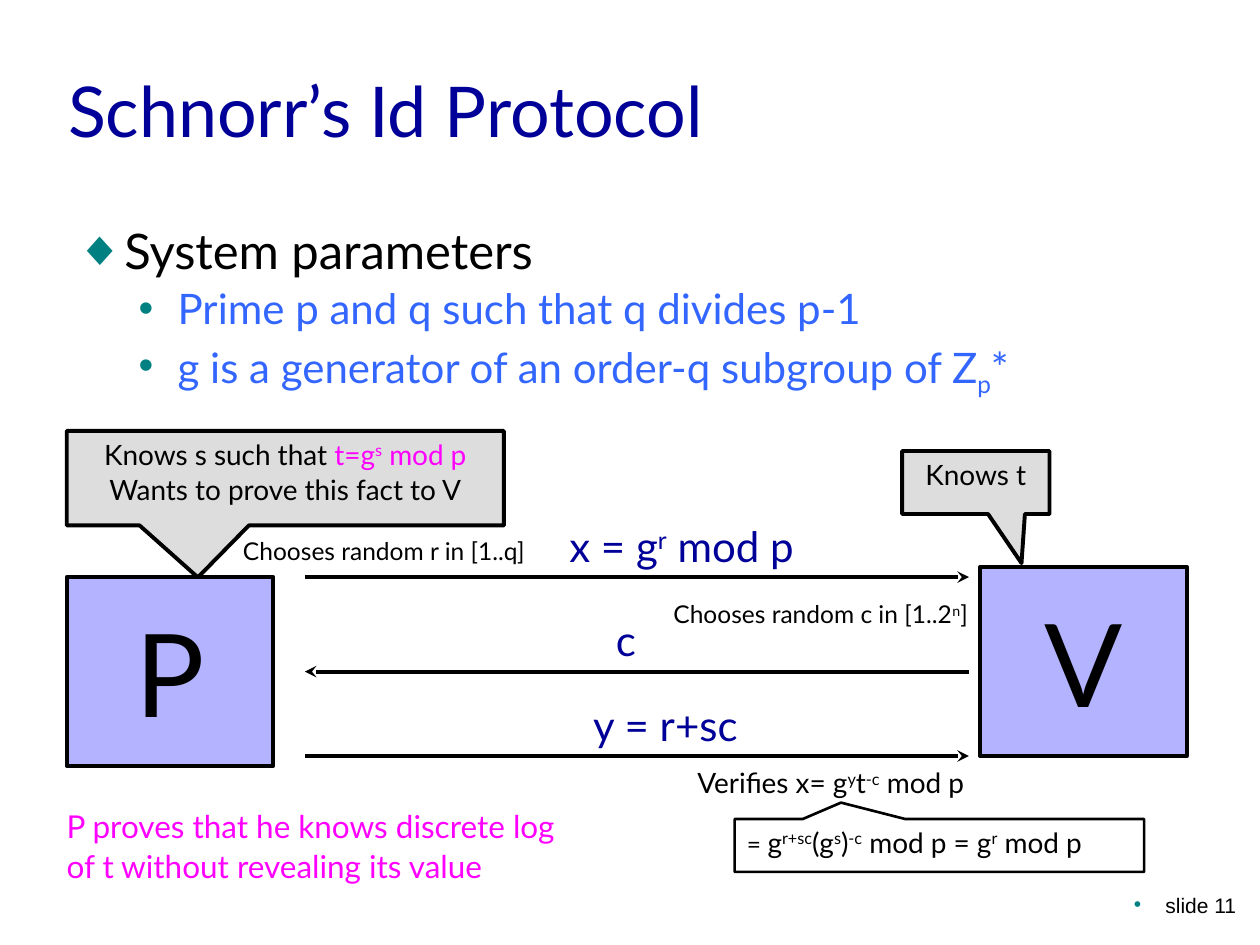
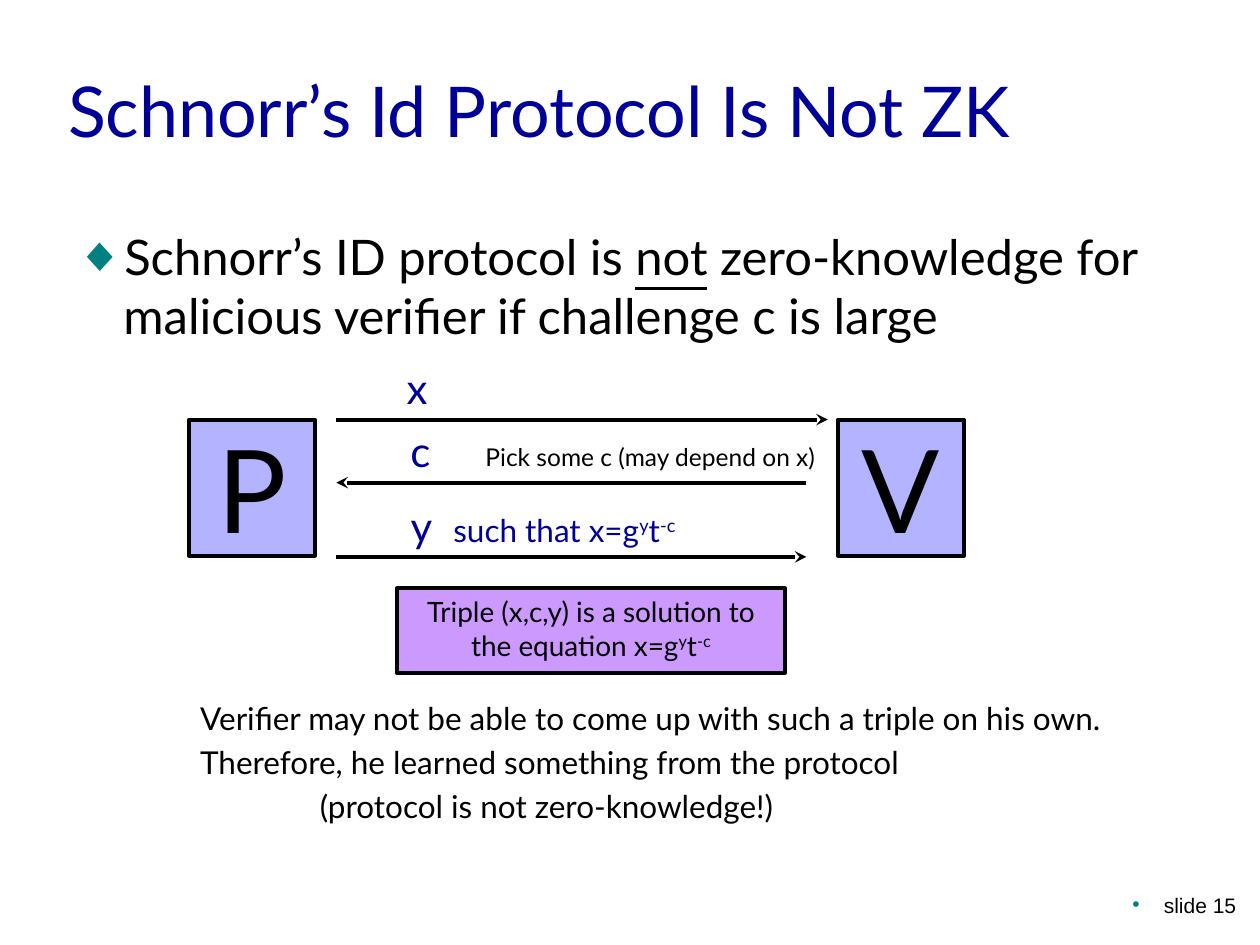
from lxml import etree
from pptx import Presentation
from pptx.dml.color import RGBColor
from pptx.enum.shapes import MSO_CONNECTOR, MSO_SHAPE
from pptx.enum.text import MSO_ANCHOR, MSO_AUTO_SIZE, PP_ALIGN
from pptx.oxml.ns import qn
from pptx.util import Inches, Pt

COLORS = {
    "black": "000000",
    "navy": "000099",
    "blue": "3366FF",
    "teal": "008080",
    "magenta": "FF00FF",
    "lilac": "B3B3FF",
    "violet": "CC99FF",
    "gray": "DDDDDD",
}
LEFT, CENTER, RIGHT = PP_ALIGN.LEFT, PP_ALIGN.CENTER, PP_ALIGN.RIGHT


def rgb(name):
    return RGBColor.from_string(COLORS[name])


def sup(text):
    return text, {"base": 30000}


def sub(text):
    return text, {"base": -25000}


class Deck:
    """Holds the shared style and the slide being built."""

    font = "Lato"

    def __init__(self):
        self.prs = Presentation()
        self.prs.slide_width, self.prs.slide_height = Inches(10), Inches(7.5)
        self.s = None

    def new_slide(self, title, number):
        self.s = self.prs.slides.add_slide(self.prs.slide_layouts[1])
        sp = self.s.shapes.title
        self.place(sp, 0.44, 0.25, 8.5, 1)
        tf = self.frame(sp, MSO_ANCHOR.BOTTOM)
        self.para(tf, [title], 40, "navy")
        tf = self.text(7.83, 6.83, 2.08, 0.5, [[f"slide {number}"]], 12,
                       align=RIGHT, anchor=MSO_ANCHOR.BOTTOM, font="Arial")
        self.bullet(tf.paragraphs[0], "•", 0.25, 0.25)

    def place(self, sp, x, y, w, h):
        sp.left, sp.top, sp.width, sp.height = map(Inches, (x, y, w, h))

    def frame(self, sp, anchor=MSO_ANCHOR.TOP):
        tf = sp.text_frame
        tf.word_wrap = True
        tf.auto_size = MSO_AUTO_SIZE.NONE
        tf.vertical_anchor = anchor
        return tf

    def para(self, tf, runs, size, color="black", align=LEFT, spacing=1.0, font=None):
        """Add a paragraph; a run is a string or a (string, overrides) pair."""
        first = not tf.paragraphs[0].runs
        p = tf.paragraphs[0] if first else tf.add_paragraph()
        p.alignment, p.line_spacing = align, spacing
        p.space_before = Pt(0 if first else size * 0.2)
        for run in runs:
            text, style = (run, {}) if isinstance(run, str) else run
            r = p.add_run()
            r.text = text
            r.font.name = font or self.font
            r.font.size = Pt(style.get("size", size))
            r.font.color.rgb = rgb(style.get("color", color))
            if style.get("underline"):
                r.font.underline = True
            if "base" in style:
                r._r.get_or_add_rPr().set("baseline", str(style["base"]))
        return p

    def bullet(self, p, char, margin, hanging):
        pPr = p._p.get_or_add_pPr()
        pPr.set("marL", str(Inches(margin)))
        pPr.set("indent", str(-Inches(hanging)))
        clr = etree.SubElement(pPr, qn("a:buClr"))
        etree.SubElement(clr, qn("a:srgbClr")).set("val", COLORS["teal"])
        etree.SubElement(pPr, qn("a:buFont")).set("typeface", "Arial")
        etree.SubElement(pPr, qn("a:buChar")).set("char", char)

    def tab(self, p, position):
        tabs = etree.SubElement(p._p.get_or_add_pPr(), qn("a:tabLst"))
        stop = etree.SubElement(tabs, qn("a:tab"))
        stop.set("pos", str(Inches(position)))
        stop.set("algn", "l")

    def body(self, x, y, w, h, items, spacing):
        """Fill the body placeholder with (level, runs) items."""
        sp = self.s.placeholders[1]
        self.place(sp, x, y, w, h)
        tf = self.frame(sp)
        for level, runs in items:
            size, color, char, margin, hanging = (
                (24, "blue", "•", 0.81, 0.31) if level else (28, "black", "◆", 0.38, 0.38))
            p = self.para(tf, runs, size, color, spacing=spacing)
            p.level = level
            self.bullet(p, char, margin, hanging)

    def text(self, x, y, w, h, paras, size, color="black", align=LEFT, spacing=1.0,
             anchor=MSO_ANCHOR.TOP, font=None):
        sp = self.s.shapes.add_textbox(*map(Inches, (x, y, w, h)))
        tf = self.frame(sp, anchor)
        for runs in paras:
            self.para(tf, runs, size, color, align, spacing, font)
        return tf

    def box(self, x, y, w, h, paras, size, fill=None, tip=None, line=2.25,
            align=CENTER, anchor=MSO_ANCHOR.TOP):
        """Draw an outlined rectangle, or a callout when a tip is given."""
        kind = MSO_SHAPE.RECTANGULAR_CALLOUT if tip else MSO_SHAPE.RECTANGLE
        sp = self.s.shapes.add_shape(kind, *map(Inches, (x, y, w, h)))
        if tip:
            sp.adjustments[0], sp.adjustments[1] = tip
        sp.shadow.inherit = False
        if fill:
            sp.fill.solid()
            sp.fill.fore_color.rgb = rgb(fill)
        else:
            sp.fill.background()
        sp.line.color.rgb = rgb("black")
        sp.line.width = Pt(line)
        tf = self.frame(sp, anchor)
        for i, runs in enumerate(paras):
            self.para(tf, runs, size, align=align, spacing=0.9 if i else 1.0)

    def party(self, name, x, y, w, h):
        self.box(x, y, w, h, [[name]], 66, "lilac", anchor=MSO_ANCHOR.MIDDLE)

    def message(self, start, end, y, label_x, label_w, runs):
        """Draw an arrow at height y with its label standing on it."""
        c = self.s.shapes.add_connector(
            MSO_CONNECTOR.STRAIGHT, Inches(start), Inches(y), Inches(end), Inches(y))
        c.line.color.rgb = rgb("black")
        c.line.width = Pt(2.25)
        etree.SubElement(c.line._get_or_add_ln(), qn("a:tailEnd")).set("type", "stealth")
        etree.SubElement(c._element.spPr, qn("a:effectLst"))
        return self.text(label_x, y - 0.5, label_w, 0.5, [runs], 24, "navy")

    def note(self, x, y, w, h, runs, size=14, align=RIGHT):
        self.text(x, y, w, h, [runs], size, align=align, spacing=0.8)


def protocol_slide(d):
    d.new_slide("Schnorr’s Id Protocol", 11)
    d.body(0.5, 1.75, 9.33, 1.5, [
        (0, ["System parameters"]),
        (1, ["Prime p and q such that q divides p-1"]),
        (1, ["g is a generator of an order-q subgroup of Z", sub("p"), "*"]),
    ], spacing=0.9)

    d.party("P", 0.53, 4.58, 1.64, 1.5)
    d.party("V", 7.78, 4.5, 1.64, 1.5)
    d.box(7.16, 3.58, 1.17, 0.5, [["Knows t"]], 16, "gray", tip=(0.31, 1.28))
    secret = {"color": "magenta"}
    d.box(0.53, 3.42, 3.47, 0.75, [
        ["Knows s such that ", ("t=g", secret), ("s", {**secret, "base": 30000}),
         (" mod p", secret)],
        ["Wants to prove this fact to V"],
    ], 16, "gray", tip=(-0.2, 1.05))

    prover, verifier = 2.42, 7.69
    d.message(prover, verifier, 4.58, 4.42, 2.12, ["x = g", sup("r"), " mod p"])
    d.message(verifier, prover, 5.33, 4.79, 0.46, ["c"])
    d.message(prover, verifier, 6, 4.61, 1.59, ["y = r+sc"])

    d.note(4.67, 6.08, 3.08, 0.42,
           ["Verifies x= g", sup("y"), "t", sup("-c"), " mod p"], size=16)
    d.note(1.83, 4.25, 2.58, 0.33, ["Chooses random r in [1..q]"], align=LEFT)
    d.note(5.03, 4.75, 2.75, 0.33, ["Chooses random c in [1..2", sup("n"), "]"])
    d.box(5.83, 6.5, 3.25, 0.42, [
        [("= ", {"size": 14}), "g", sup("r+sc"), "(g", sup("s"), ")", sup("-c"),
         " mod p = g", sup("r"), " mod p"],
    ], 16, tip=(-0.24, -0.81), line=1.5, align=LEFT)
    d.text(0.43, 6.39, 4.14, 0.7, [
        ["P proves that he knows discrete log"],
        ["of t without revealing its value"],
    ], 18, "magenta", spacing=0.9)


def not_zk_slide(d):
    d.new_slide("Schnorr’s Id Protocol Is Not ZK", 15)
    d.body(0.5, 1.75, 9.25, 4.88, [
        (0, ["Schnorr’s ID protocol is ", ("not", {"underline": True}),
             " zero-knowledge for malicious verifier if challenge c is large"]),
    ], spacing=1.0)

    d.party("P", 1.5, 3.33, 1, 1.08)
    d.party("V", 6.65, 3.33, 1, 1.08)
    prover, verifier = 2.67, 6.4
    d.message(prover, 6.57, 3.33, 3.13, 0.46, ["x"])
    d.message(verifier, prover, 3.83, 3.16, 0.46, ["c"])
    small = {"size": 18}
    raised = {"size": 18, "base": 30000}
    tf = d.message(prover, verifier, 4.42, 3.16, 2.48, [
        "y\t", ("such that x=g", small), ("y", raised), ("t", small), ("-c", raised)])
    d.tab(tf.paragraphs[0], 0.34)

    d.note(3.62, 3.5, 2.95, 0.33, ["Pick some c (may depend on x)"])
    d.box(3.15, 4.67, 3.08, 0.67, [
        ["Triple (x,c,y) is a solution to the equation x=g", sup("y"), "t", sup("-c")],
    ], 16, "violet")
    tf = d.text(1.49, 5.5, 7.51, 1.12, [
        ["Verifier may not be able to come up with such a triple on his own."],
        ["Therefore, he learned something from the protocol"],
        ["(protocol is not zero-knowledge!)"],
    ], 18)
    tf.paragraphs[2]._p.get_or_add_pPr().set("marL", str(Inches(0.95)))


def main():
    d = Deck()
    protocol_slide(d)
    not_zk_slide(d)
    d.prs.save("out.pptx")


if __name__ == "__main__":
    main()
